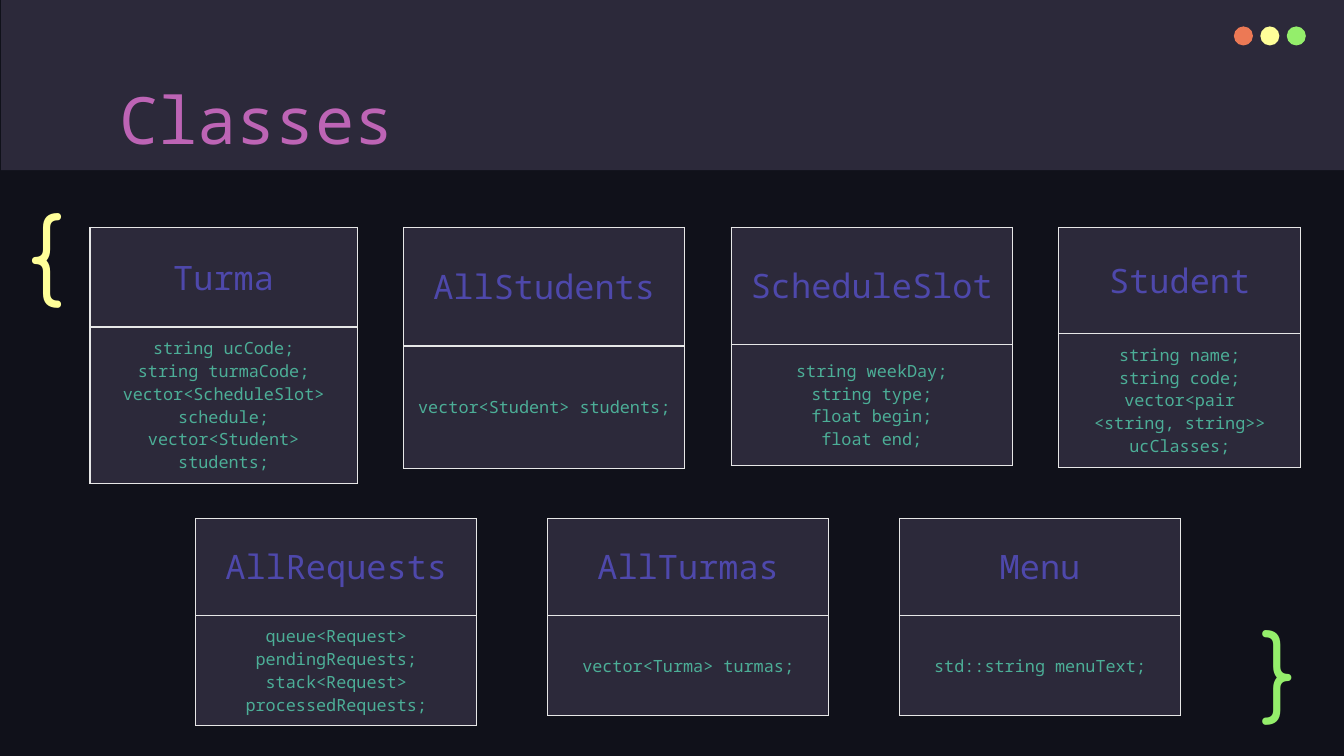
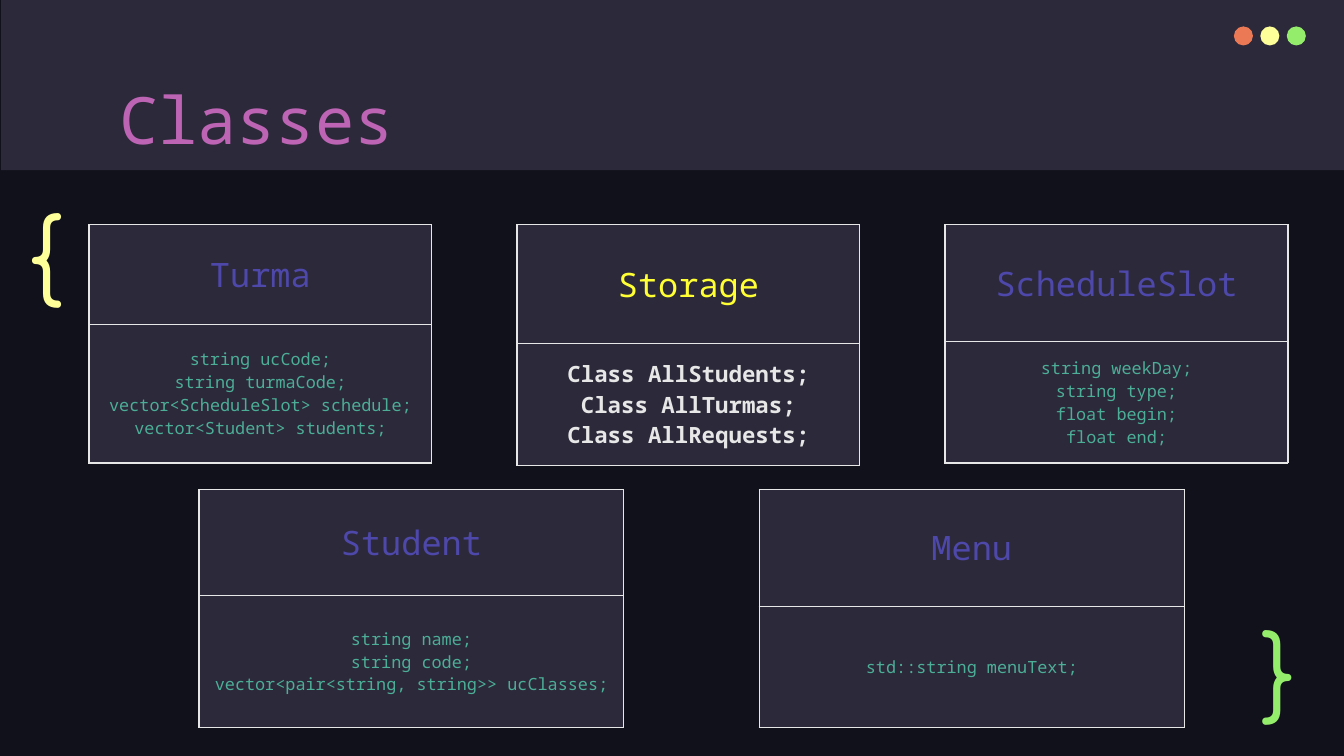
from dataclasses import dataclass

from lxml import etree
from pptx import Presentation
from pptx.dml.color import RGBColor
from pptx.enum.shapes import MSO_SHAPE
from pptx.enum.text import MSO_ANCHOR, MSO_AUTO_SIZE, PP_ALIGN
from pptx.oxml.ns import qn
from pptx.util import Cm, Pt

RECTANGLE, OVAL = MSO_SHAPE.RECTANGLE, MSO_SHAPE.OVAL
LEFT, CENTER = PP_ALIGN.LEFT, PP_ALIGN.CENTER
TOP, MIDDLE = MSO_ANCHOR.TOP, MSO_ANCHOR.MIDDLE
NO_FIT = MSO_AUTO_SIZE.NONE


@dataclass(frozen=True)
class Theme:
    night: str = "10111A"
    panel: str = "2C293A"
    border: str = "E7E7E7"
    orange: str = "EC7955"
    cream: str = "FFFF99"
    green: str = "94EE6B"
    pink: str = "BD64B5"
    violet: str = "4E48AB"
    teal: str = "4CAE97"
    yellow: str = "FFFF33"
    mono: str = "Noto Sans Mono"
    round: str = "Comfortaa"
    title_size: float = 35
    name_size: float = 18
    code_size: float = 9
    strong_size: float = 12
    brace_size: float = 50
    border_width: float = 0.75


THEME = Theme()


@dataclass(frozen=True)
class ClassCard:
    name: str
    members: tuple
    heights: tuple
    main: bool = False


TURMA = ClassCard(
    "Turma",
    ("string ucCode;", "string turmaCode;", "vector<ScheduleSlot> schedule;",
     "vector<Student> students;"),
    (1.88, 2.62))
SCHEDULE_SLOT = ClassCard(
    "ScheduleSlot",
    ("string weekDay;", "string type;", "float begin;", "float end;"),
    (2.21, 2.29))
ALL_STUDENTS = ClassCard("AllStudents", ("vector<Student> students;",), (2.24, 2.31))
NARROW_STUDENT = ClassCard(
    "Student",
    ("string name;", "string code;", "vector<pair", "<string, string>> ucClasses;"),
    (2.01, 2.49))
WIDE_STUDENT = ClassCard(
    "Student",
    ("string name;", "string code;", "vector<pair<string, string>> ucClasses;"),
    (2.01, 2.49))
ALL_REQUESTS = ClassCard(
    "AllRequests",
    ("queue<Request> pendingRequests;", "stack<Request> processedRequests;"),
    (1.83, 1.9))
ALL_TURMAS = ClassCard("AllTurmas", ("vector<Turma> turmas;",), (1.83, 1.9))
MENU_MEMBERS = ("std::string menuText;",)
SHORT_MENU = ClassCard("Menu", MENU_MEMBERS, (1.83, 1.9))
TALL_MENU = ClassCard("Menu", MENU_MEMBERS, (2.21, 2.29))
STORAGE = ClassCard(
    "Storage",
    ("Class AllStudents;", "Class AllTurmas;", "Class AllRequests;"),
    (2.24, 2.31), main=True)


def rgb(color):
    return RGBColor.from_string(color)


def write(frame, lines, *, size, color, font=THEME.mono, align=LEFT, bold=False):
    for index, line in enumerate(lines):
        para = frame.add_paragraph() if index else frame.paragraphs[0]
        para.alignment = align
        span = para.add_run()
        span.text = line
        span.font.name = font
        span.font.size = Pt(size)
        span.font.bold = bold
        span.font.color.rgb = rgb(color)


def set_frame(frame):
    frame.word_wrap = True
    frame.auto_size = NO_FIT
    frame.vertical_anchor = TOP
    frame.margin_left = frame.margin_right = Cm(0.25)
    frame.margin_top = frame.margin_bottom = Cm(0.25)


def add_plain(page, kind, left, top, width, height, color):
    shape = page.shapes.add_shape(kind, Cm(left), Cm(top), Cm(width), Cm(height))
    shape.shadow.inherit = False
    shape.fill.solid()
    shape.fill.fore_color.rgb = rgb(color)
    shape.line.fill.background()
    return shape


def add_window_bar(page, layout, left, top, width, height):
    parts = [add_plain(page, RECTANGLE, left, top, width, height, THEME.panel)]
    for index, color in enumerate((THEME.orange, THEME.cream, THEME.green)):
        dot_left = left + width - 2.08 + 0.5 * index
        parts.append(add_plain(page, OVAL, dot_left, top + 0.5, 0.36, 0.36, color))
    for number, part in enumerate(parts, start=101):
        part.element.xpath(".//p:cNvPr")[0].set("id", str(number))
        layout.shapes.element.append(part.element)


def add_title(page, text, left, top, width, height):
    title = page.shapes.title
    title.left, title.top = Cm(left), Cm(top)
    title.width, title.height = Cm(width), Cm(height)
    set_frame(title.text_frame)
    write(title.text_frame, [text], size=THEME.title_size, color=THEME.pink)


def add_brace(page, text, left, top, width, height, color):
    box = page.shapes.add_textbox(Cm(left), Cm(top), Cm(width), Cm(height))
    set_frame(box.text_frame)
    write(box.text_frame, [text], size=THEME.brace_size, color=color, font=THEME.round)


def set_borders(cell):
    properties = cell._tc.get_or_add_tcPr()
    for index, side in enumerate(("lnL", "lnR", "lnT", "lnB")):
        line = etree.Element(qn(f"a:{side}"), w=str(Pt(THEME.border_width)))
        fill = etree.SubElement(line, qn("a:solidFill"))
        etree.SubElement(fill, qn("a:srgbClr"), val=THEME.border)
        properties.insert(index, line)


def add_card(page, card, left, top, width):
    frame = page.shapes.add_table(
        2, 1, Cm(left), Cm(top), Cm(width), Cm(sum(card.heights)))
    table = frame.table
    table.first_row = table.horz_banding = False
    table.columns[0].width = Cm(width)
    for index, height in enumerate(card.heights):
        table.rows[index].height = Cm(height)
        cell = table.cell(index, 0)
        cell.vertical_anchor = MIDDLE
        cell.margin_left = cell.margin_right = Cm(0.25)
        cell.margin_top = cell.margin_bottom = Cm(0.18)
        cell.fill.solid()
        cell.fill.fore_color.rgb = rgb(THEME.panel)
        set_borders(cell)
    write(table.cell(0, 0).text_frame, [card.name], size=THEME.name_size, align=CENTER,
          color=THEME.yellow if card.main else THEME.violet)
    write(table.cell(1, 0).text_frame, card.members, align=CENTER, bold=card.main,
          size=THEME.strong_size if card.main else THEME.code_size,
          color=THEME.border if card.main else THEME.teal)


def add_card_row(page, cards, left, top, widths, gap):
    for card, width in zip(cards, widths):
        add_card(page, card, left, top, width)
        left += width + gap


def add_class_page(deck, layout):
    page = deck.slides.add_slide(layout)
    add_title(page, "Classes", 2, 1.25, 21.4, 1.6)
    add_brace(page, "{", 0.28, 3.4, 1.96, 2.41, THEME.cream)
    add_brace(page, "}", 23.6, 11.28, 1.45, 2.11, THEME.green)
    return page


def main():
    deck = Presentation()
    deck.slide_width, deck.slide_height = Cm(25.4), Cm(14.29)
    layout = deck.slide_layouts[5]
    layout.background.fill.solid()
    layout.background.fill.fore_color.rgb = rgb(THEME.night)

    first = add_class_page(deck, layout)
    add_window_bar(first, layout, 0.02, 0, 25.38, 3.22)
    add_card_row(first, (TURMA, ALL_STUDENTS, SCHEDULE_SLOT, NARROW_STUDENT),
                 1.7, 4.3, (5.05, 5.31, 5.31, 4.57), 0.88)
    add_card_row(first, (ALL_REQUESTS, ALL_TURMAS, SHORT_MENU),
                 3.7, 9.8, (5.31,) * 3, 1.34)

    second = add_class_page(deck, layout)
    add_card_row(second, (TURMA, STORAGE, SCHEDULE_SLOT), 1.68, 4.25, (6.48,) * 3, 1.61)
    add_card_row(second, (WIDE_STUDENT, TALL_MENU), 3.76, 9.25, (8.03,) * 2, 2.56)

    deck.save("out.pptx")


if __name__ == "__main__":
    main()
